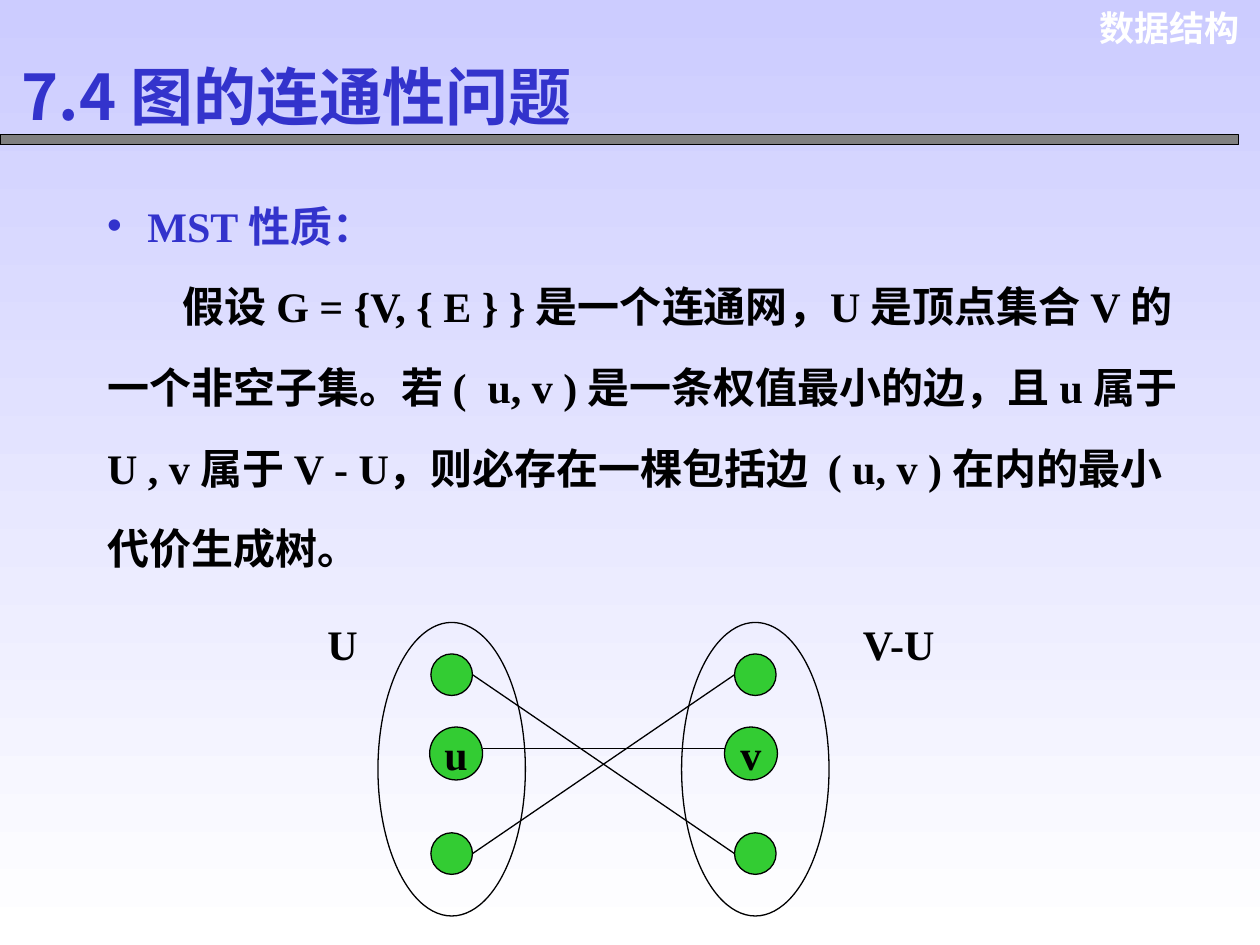
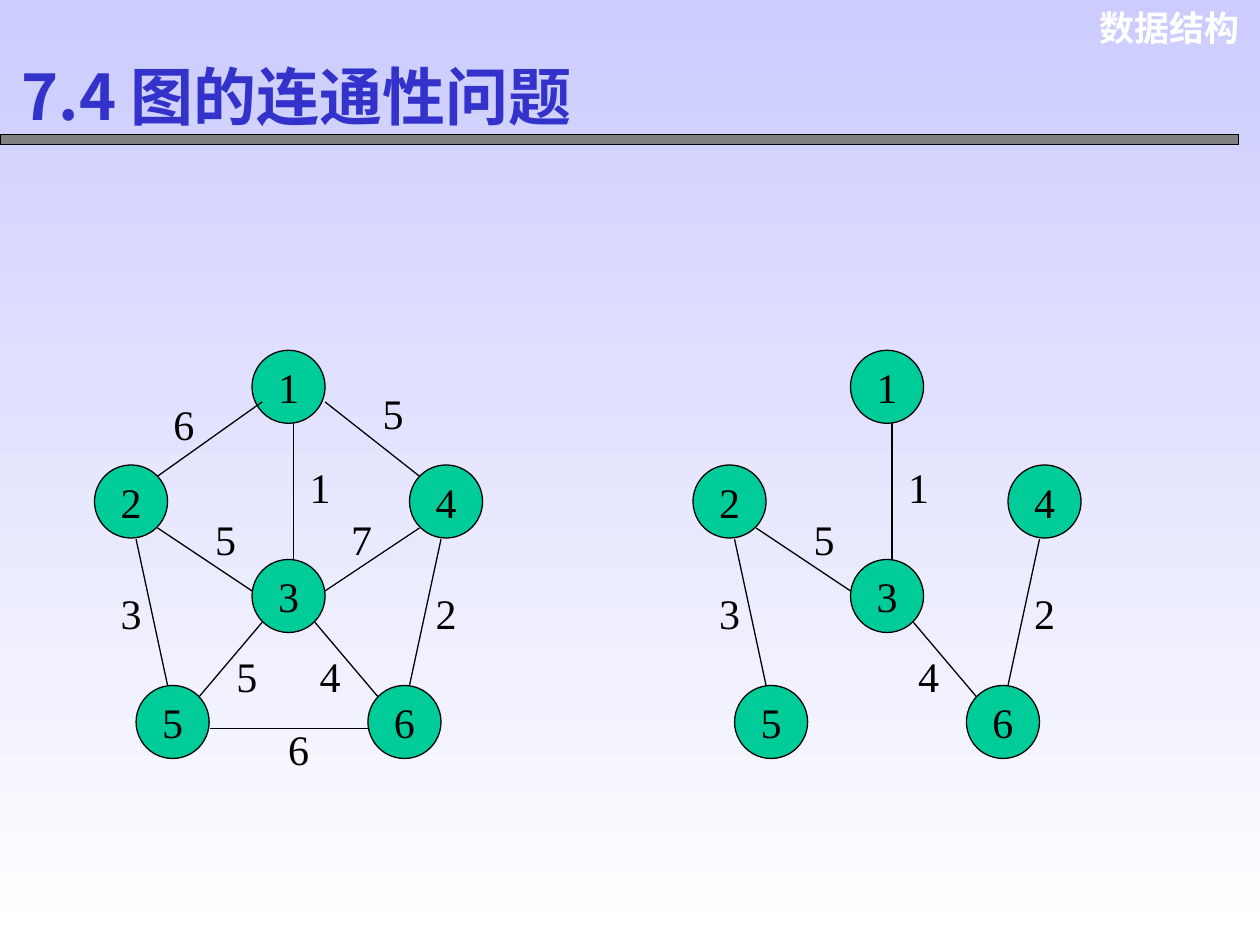
from lxml import etree
from pptx import Presentation
from pptx.dml.color import RGBColor
from pptx.enum import shapes, text
from pptx.oxml import ns
from pptx.util import Inches, Pt

INDIGO, BLACK, WHITE, GRAY = "3333CC", "000000", "FFFFFF", "808080"
LAVENDER, GREEN, TEAL = "CCCCFF", "33CC33", "00CC99"
SERIF, SANS, CHINESE = "Times New Roman", "Arial", "Noto Sans CJK SC"
CENTER, RIGHT = text.PP_ALIGN.CENTER, text.PP_ALIGN.RIGHT
TITLE = "7.4 图的连通性问题"

NODE_SIZE = 0.58
# Node number: left and top within the graph
NODES = {1: (1.25, 0), 2: (0, 0.91), 3: (1.25, 1.66),
         4: (2.5, 0.91), 6: (2.17, 2.66), 5: (0.33, 2.66)}
# Joined nodes: line start, line end, weight, left and top of the weight
EDGES = {
    (1, 2): ((1.33, 0.41), (0.5, 1), "6", (0.42, 0.33)),
    (1, 4): ((1.83, 0.41), (2.58, 1), "5", (2.08, 0.25)),
    (2, 3): ((0.5, 1.41), (1.25, 1.91), "5", (0.75, 1.25)),
    (3, 4): ((1.83, 1.91), (2.58, 1.41), "7", (1.83, 1.25)),
    (2, 5): ((0.33, 1.5), (0.58, 2.66), "3", (0, 1.83)),
    (4, 6): ((2.75, 1.5), (2.5, 2.66), "2", (2.5, 1.83)),
    (5, 6): ((0.92, 3), (2.17, 3), "6", (1.33, 2.91)),
    (1, 3): ((1.58, 0.58), (1.58, 1.66), "1", (1.5, 0.83)),
    (3, 5): ((1.33, 2.16), (0.83, 2.75), "5", (0.92, 2.33)),
    (3, 6): ((1.75, 2.16), (2.25, 2.75), "4", (1.58, 2.33)),
}
TREE = [(2, 3), (1, 3), (2, 5), (4, 6), (3, 6)]


def rgb(color):
    return RGBColor.from_string(color)


def child(parent, tag, **attributes):
    return etree.SubElement(parent, ns.qn(tag), attributes)


def write(para, words, size=24, font=SERIF, color=BLACK, bold=False, align=None):
    para.alignment = align
    span = para.add_run()
    span.text = words
    span.font.size = Pt(size)
    span.font.name = font
    span.font.bold = bold
    span.font.color.rgb = rgb(color)
    child(span.font._element, "a:ea", typeface=CHINESE)


def label(page, words, left, top, width, height=0.5, **style):
    box = page.shapes.add_textbox(*map(Inches, (left, top, width, height)))
    box.text_frame.word_wrap = True
    write(box.text_frame.paragraphs[0], words, **style)


def outlined(page, kind, left, top, width, height, fill=None):
    shape = page.shapes.add_shape(kind, *map(Inches, (left, top, width, height)))
    shape.shadow.inherit = False
    if fill:
        shape.fill.solid()
        shape.fill.fore_color.rgb = rgb(fill)
    else:
        shape.fill.background()
    shape.line.color.rgb = rgb(BLACK)
    shape.line.width = Pt(0.75)
    return shape


def oval(page, *place, fill=None):
    return outlined(page, shapes.MSO_SHAPE.OVAL, *place, fill=fill)


def node(page, words, left, top, size, fill, bold=False):
    frame = oval(page, left, top, size, size, fill=fill).text_frame
    frame.word_wrap = False
    frame.vertical_anchor = text.MSO_ANCHOR.MIDDLE
    write(frame.paragraphs[0], words, bold=bold, align=CENTER)


def join(page, left, top, start, end):
    """Draw a line between two points given from (left, top)."""
    points = [left + start[0], top + start[1], left + end[0], top + end[1]]
    line = page.shapes.add_connector(shapes.MSO_CONNECTOR.STRAIGHT, *map(Inches, points))
    line.line.color.rgb = rgb(BLACK)
    line.line.width = Pt(0.75)
    child(line._element.spPr, "a:effectLst")


def put(holder, left, top, width, height, anchor):
    holder.left, holder.top = Inches(left), Inches(top)
    holder.width, holder.height = Inches(width), Inches(height)
    frame = holder.text_frame
    frame.word_wrap = True
    frame.auto_size = text.MSO_AUTO_SIZE.NONE
    frame.vertical_anchor = anchor
    return frame


def add_page(deck, layout):
    """Add a slide with the course name, the title and the bar under it."""
    page = deck.slides.add_slide(deck.slide_layouts.get_by_name(layout))
    label(page, "数据结构", 8.57, 0, 1.37, 0.44,
          size=20, font=SANS, color=WHITE, bold=True, align=RIGHT)
    outlined(page, shapes.MSO_SHAPE.RECTANGLE, 0, 1.07, 9.83, 0.08, fill=GRAY)
    frame = put(page.shapes.title, 0.07, 0.48, 4.95, 0.55, text.MSO_ANCHOR.MIDDLE)
    write(frame.paragraphs[0], TITLE, size=36, font=CHINESE, color=INDIGO,
          bold=True, align=text.PP_ALIGN.LEFT)
    return page


def indent(para, margin, first):
    properties = para._p.get_or_add_pPr()
    properties.set("marL", str(Inches(margin)))
    properties.set("indent", str(Inches(first)))
    para.line_spacing = 1.6
    para.space_before = Pt(0)
    return properties


def mst_property(page, left, top, width, height):
    frame = put(page.placeholders[1], left, top, width, height, text.MSO_ANCHOR.TOP)
    heading, statement = frame.paragraphs[0], frame.add_paragraph()
    properties = indent(heading, 0.32, -0.32)
    child(child(properties, "a:buClr"), "a:srgbClr", val=INDIGO)
    child(properties, "a:buChar", char="•")
    write(heading, "MST 性质：", color=INDIGO, bold=True)
    child(indent(statement, 0, 0.6), "a:buNone")
    write(statement, "假设 G = {V, { E } } 是一个连通网，U 是顶点集合 V 的一个非空子集。"
          "若 (  u, v ) 是一条权值最小的边，且 u 属于 U , v 属于 V - U，"
          "则必存在一棵包括边  ( u, v ) 在内的最小代价生成树。", bold=True)


def cut_diagram(page, left, top):
    """Draw the vertex sets U and V-U and the edges across the cut."""
    set_lefts, dot_tops, dot = (0.5, 2.91), (0.33, 1.75), 0.33
    for name, offset in (("u", 0.91), ("v", 3.25)):
        node(page, name, left + offset, top + 0.91, 0.42, GREEN, bold=True)
    for set_left in set_lefts:
        oval(page, left + set_left, top + 0.08, 1.17, 2.33)
        for dot_top in dot_tops:
            oval(page, left + set_left + 0.42, top + dot_top, dot, dot, fill=GREEN)
    join(page, left, top, (1.33, 1.08), (3.25, 1.08))
    high, low = (dot_top + dot / 2 for dot_top in dot_tops)
    for start, end in ((low, high), (high, low)):
        join(page, left, top, (1.25, start), (3.33, end))
    label(page, "U", left, top, 0.5, bold=True)
    label(page, "V-U", left + 4.25, top, 1.17, bold=True)


def weighted_graph(page, left, top, edges):
    for number, (x, y) in NODES.items():
        node(page, str(number), left + x, top + y, NODE_SIZE, TEAL)
    for edge in edges:
        start, end, weight, (x, y) = EDGES[edge]
        join(page, left, top, start, end)
        label(page, weight, left + x, top + y, NODE_SIZE, align=CENTER)


def main():
    deck = Presentation()
    deck.slide_width, deck.slide_height = Inches(10), Inches(7.5)
    fill = deck.slide_master.background.fill
    fill.gradient()
    fill.gradient_angle = 270
    for stop, color in zip(fill.gradient_stops, (LAVENDER, WHITE)):
        stop.color.rgb = rgb(color)

    page = add_page(deck, "Title and Content")
    cut_diagram(page, 2.5, 4.86)
    mst_property(page, 0.75, 1.3, 8.74, 3.3)

    page = add_page(deck, "Title Only")
    weighted_graph(page, 0.75, 2.78, EDGES)
    weighted_graph(page, 5.5, 2.78, TREE)
    deck.save("out.pptx")


if __name__ == "__main__":
    main()
